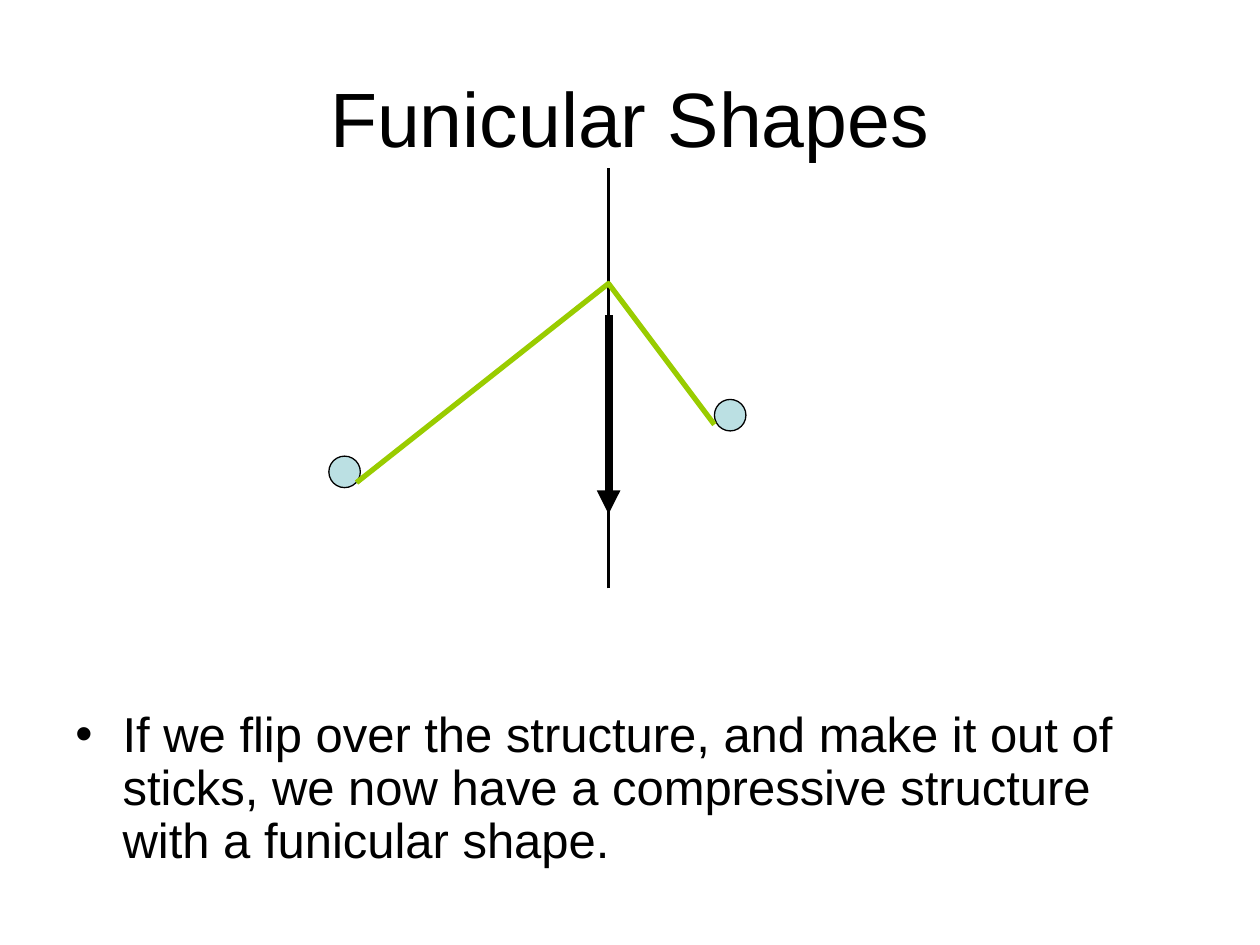
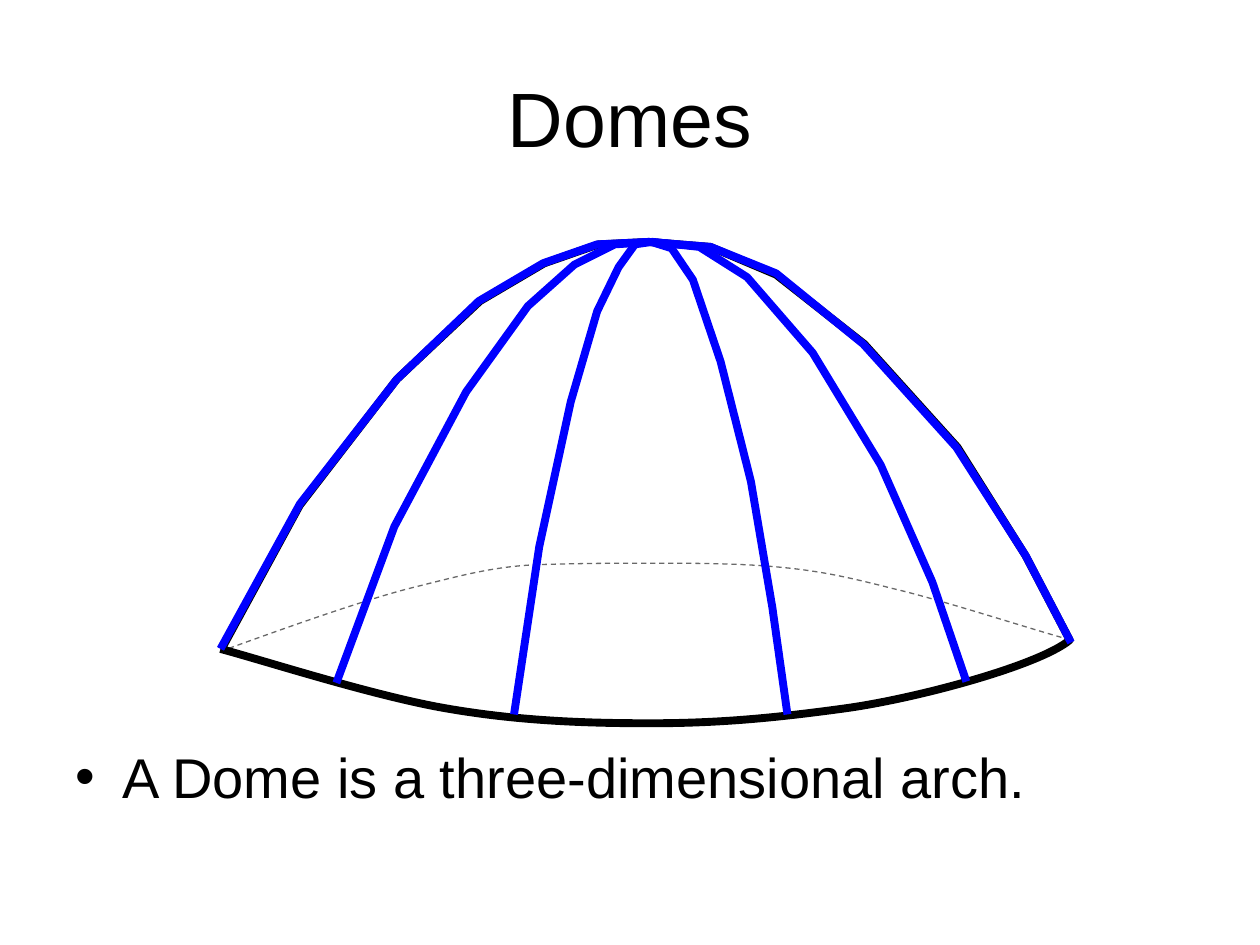
import pptx
import pptx.util
from pptx.dml.color import RGBColor
from pptx.enum.dml import MSO_LINE
from pptx.enum.shapes import MSO_CONNECTOR, MSO_SHAPE
from pptx.enum.text import MSO_ANCHOR, PP_ALIGN
from pptx.oxml import parse_xml
from pptx.oxml.ns import nsdecls, qn
from lxml import etree

EMU_PER_PX = 9144  # 100 px to the inch
BLANK_LAYOUT = 6
BULLET_INDENT = pptx.util.Pt(27)

BLACK = RGBColor(0x00, 0x00, 0x00)
WHITE = RGBColor(0xFF, 0xFF, 0xFF)
PALE_TEAL = RGBColor(0xBB, 0xE0, 0xE3)
STICK_GREEN = RGBColor(0x99, 0xCC, 0x00)
RIB_BLUE = RGBColor(0x00, 0x00, 0xFF)

# Dome ribs, each from its left foot over the crown to its right foot
OUTER_RIB = [(175, 515), (238, 400), (315, 301), (380, 239), (431, 209), (474, 194), (515, 192),
             (564, 196), (616, 217), (685, 273), (759, 355), (814, 441), (850, 510)]
MIDDLE_RIB = [(267, 542), (313, 418), (370, 311), (419, 243), (456, 210), (488, 194), (518, 192),
              (555, 196), (593, 220), (645, 280), (699, 369), (740, 462), (767, 541)]
INNER_RIB = [(408, 567), (428, 434), (453, 319), (474, 247), (491, 212), (504, 194), (517, 192),
             (533, 197), (550, 222), (572, 287), (596, 382), (613, 482), (625, 567)]

# Dome surface: the arch, then the front of the base ring
ARCH = [(176, 515), (238, 401), (315, 301), (381, 239), (432, 209), (475, 194), (515, 192),
        (564, 196), (616, 218), (686, 273), (760, 355), (814, 441), (849, 508)]

# Base ring: each row of curves holds two control points and an end point
FRONT_CURVES = [
    (825, 528), (729, 554), (672, 562),
    (614, 570), (570, 574), (516, 574),
    (463, 574), (410, 572), (353, 562),
    (296, 552), (212, 525), (175, 515),
]
BACK_START = (175, 517)
BACK_CURVES = [
    (200, 508), (282, 478), (325, 467),
    (369, 456), (394, 449), (432, 448),
    (470, 447), (489, 447), (518, 447),
    (547, 447), (585, 447), (617, 450),
    (649, 453), (669, 457), (708, 467),
    (747, 476), (820, 500), (850, 508),
]


def px(length):
    return pptx.util.Emu(length * EMU_PER_PX)


def bend(path_shape, curve_point_count):
    """Turn the last line segments of a path, three at a time, into cubic curves."""
    segments = list(path_shape._element.iter(qn("a:lnTo")))
    tail = segments[len(segments) - curve_point_count:]
    for first, second, end in zip(tail[::3], tail[1::3], tail[2::3]):
        curve = etree.Element(qn("a:cubicBezTo"))
        first.addprevious(curve)
        for segment in (first, second, end):
            curve.append(segment[0])
            segment.getparent().remove(segment)


class Deck:
    font_name = "Arial"
    title_format = {"alignment": PP_ALIGN.CENTER}
    title_size = 44

    def __init__(self):
        self.presentation = pptx.Presentation()
        self.presentation.slide_width = px(1000)
        self.presentation.slide_height = px(750)
        self.slide = None

    def new_slide(self):
        layout = self.presentation.slide_layouts[BLANK_LAYOUT]
        self.slide = self.presentation.slides.add_slide(layout)
        background = self.slide.background.fill
        background.solid()
        background.fore_color.rgb = WHITE

    def text(self, wording, box, size, paragraph_format, anchor=MSO_ANCHOR.TOP, bullet=False):
        frame = self.slide.shapes.add_textbox(*map(px, box)).text_frame
        frame_format = {"word_wrap": True, "vertical_anchor": anchor,
                        "margin_left": px(10), "margin_right": px(10),
                        "margin_top": px(5), "margin_bottom": px(5)}
        for name, value in frame_format.items():
            setattr(frame, name, value)
        paragraph = frame.paragraphs[0]
        paragraph.text = wording
        for name, value in paragraph_format.items():
            setattr(paragraph, name, value)
        if bullet:
            self.add_bullet(paragraph)
        font = paragraph.runs[0].font
        font.color.rgb = BLACK
        for name, value in {"name": self.font_name, "size": pptx.util.Pt(size)}.items():
            setattr(font, name, value)

    def add_bullet(self, paragraph):
        properties = paragraph._p.get_or_add_pPr()
        properties.set("marL", str(BULLET_INDENT))
        properties.set("indent", str(-BULLET_INDENT))
        for element in (f'<a:buClr {nsdecls("a")}><a:srgbClr val="{BLACK}"/></a:buClr>',
                        f'<a:buFont {nsdecls("a")} typeface="{self.font_name}"/>',
                        f'<a:buChar {nsdecls("a")} char="•"/>'):
            properties.append(parse_xml(element))

    def title(self, wording):
        self.text(wording, (50, 30, 900, 125), self.title_size, self.title_format,
                  MSO_ANCHOR.MIDDLE)

    def bullet_point(self, wording, top, height, size, line_spacing=1.0):
        self.text(wording, (50, top, 900, height), size, {"line_spacing": line_spacing},
                  bullet=True)

    def stroke(self, shape, color, width, dash=None):
        shape.line.color.rgb = color
        for name, value in {"width": pptx.util.Pt(width), "dash_style": dash}.items():
            setattr(shape.line, name, value)

    def line(self, start, end, width, arrow=False):
        connector = self.slide.shapes.add_connector(
            MSO_CONNECTOR.STRAIGHT, *map(px, start + end))
        self.stroke(connector, BLACK, width)
        if arrow:
            etree.SubElement(connector.line._get_or_add_ln(), qn("a:tailEnd"), type="triangle")
        etree.SubElement(connector._element.spPr, qn("a:effectLst"))

    def circle(self, left, top, diameter):
        support = self.slide.shapes.add_shape(
            MSO_SHAPE.OVAL, *map(px, (left, top, diameter, diameter)))
        support.shadow.inherit = False
        support.fill.solid()
        support.fill.fore_color.rgb = PALE_TEAL
        self.stroke(support, BLACK, 0.75)

    def outline(self, points, color, width, curves=(), dash=None, fill=None, opacity=100):
        """Draw an open path of straight lines, then curves, filled only on request."""
        start, *rest = [(px(x), px(y)) for x, y in [*points, *curves]]
        builder = self.slide.shapes.build_freeform(*start)
        builder.add_line_segments(rest, close=False)
        path_shape = builder.convert_to_shape()
        bend(path_shape, len(curves))
        path_shape.shadow.inherit = False
        if fill is None:
            path_shape.fill.background()
        else:
            path_shape.fill.solid()
            path_shape.fill.fore_color.rgb = fill
            tint = path_shape._element.spPr.find(qn("a:solidFill"))[0]
            etree.SubElement(tint, qn("a:alpha"), val=str(opacity * 1000))
        self.stroke(path_shape, color, width, dash)


def add_funicular_slide(deck):
    deck.new_slide()
    deck.title("Funicular Shapes")
    deck.bullet_point("If we flip over the structure, and make it out of sticks, we now have "
                      "a compressive structure with a funicular shape.", 559, 137, 28, 0.9)
    load_x = 483
    deck.line((load_x, 467), (load_x, 133), 1.5)
    for left, top in ((261, 362), (567, 317)):
        deck.circle(left, top, 25)
    deck.outline([(283, 383), (load_x, 225), (567, 337)], STICK_GREEN, 3)
    deck.line((load_x, 250), (load_x, 408), 4.5, arrow=True)


def add_dome_slide(deck):
    deck.new_slide()
    deck.outline([BACK_START], BLACK, 0.75, curves=BACK_CURVES, dash=MSO_LINE.DASH)
    deck.outline(ARCH, BLACK, 4.5, curves=FRONT_CURVES, fill=WHITE, opacity=41)
    deck.bullet_point("A Dome is a three-dimensional arch.", 584, 120, 32)
    deck.outline(OUTER_RIB, RIB_BLUE, 4.5)
    deck.title("Domes")
    for rib in (MIDDLE_RIB, INNER_RIB):
        deck.outline(rib, RIB_BLUE, 4.5)


def main():
    deck = Deck()
    add_funicular_slide(deck)
    add_dome_slide(deck)
    deck.presentation.save("out.pptx")


if __name__ == "__main__":
    main()
